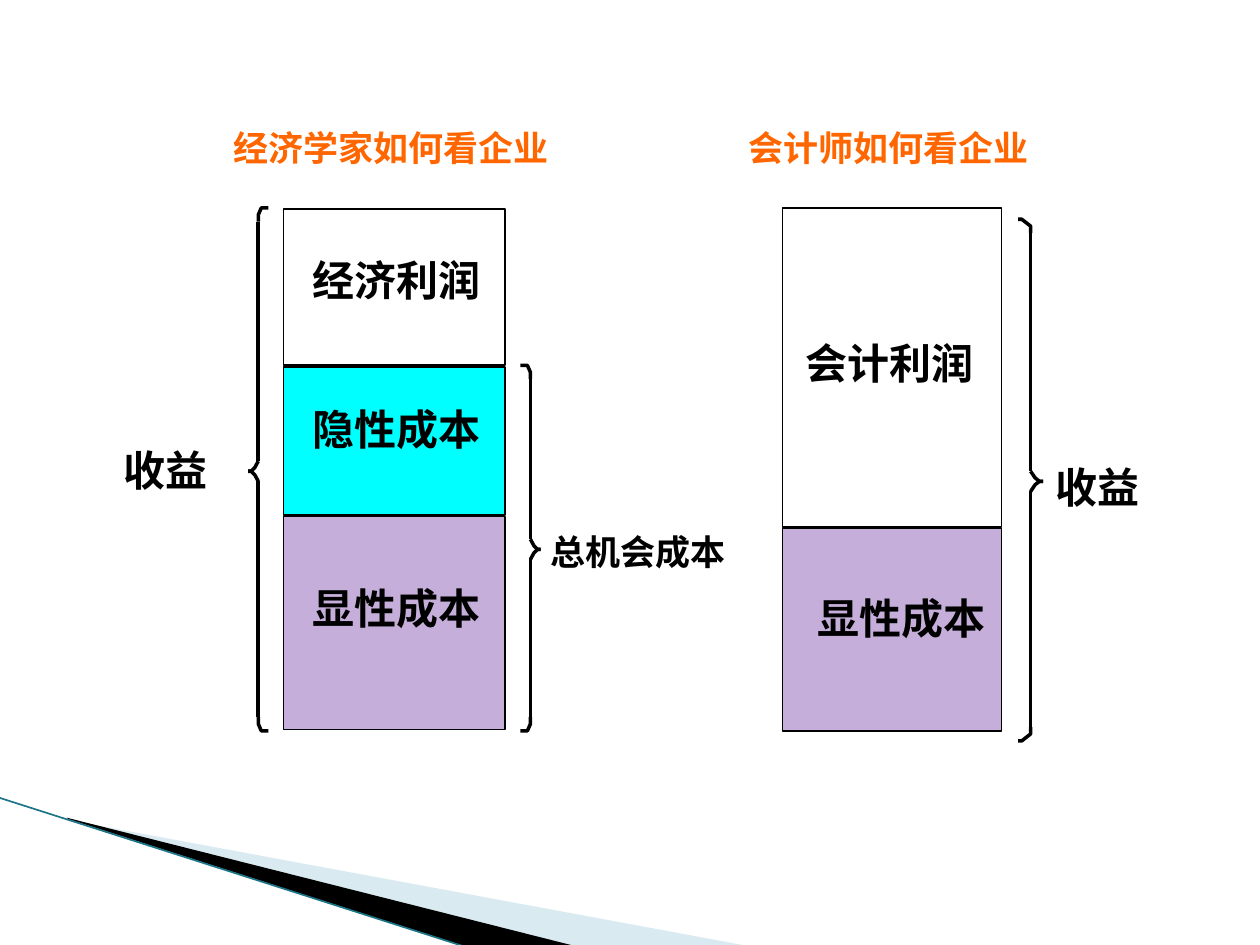
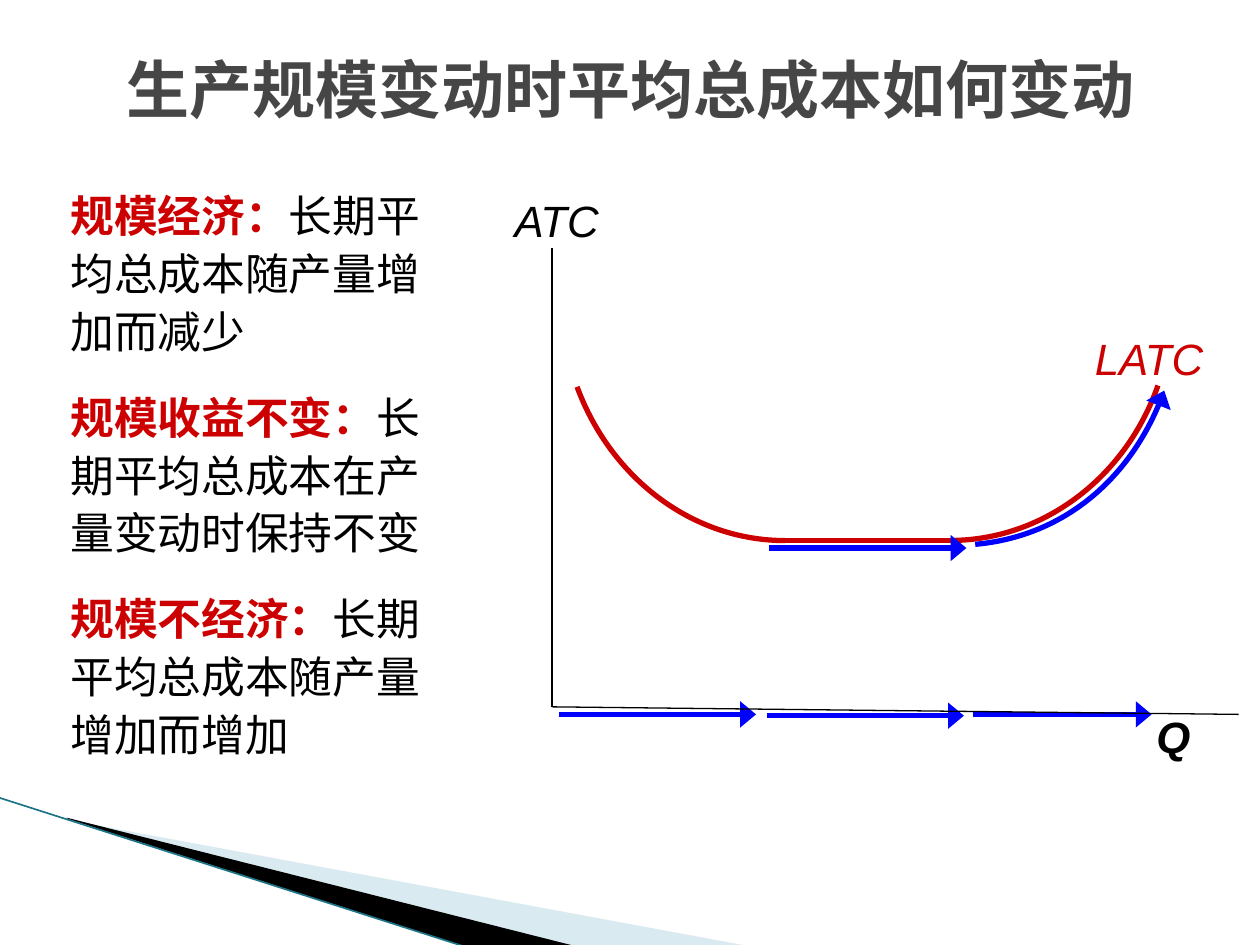
import pptx
import pptx.dml.color
import pptx.enum.shapes
import pptx.enum.text
import pptx.oxml
import pptx.oxml.ns
import pptx.util

THEME = {
    "colour": {"ink": "000000", "title": "464646", "heading": "FF6600", "key": "CC0000",
               "arrow": "0000FF", "profit": "FFFFFF", "implicit": "00FFFF",
               "explicit": "C5AED9", "pale band": "A0CBDC", "band edge": "1B7587"},
    "text": {
        "title": {"name": "Courier New", "size": 36, "bold": True},
        "heading": {"name": "Cabin", "size": 20, "bold": True},
        "label": {"name": "Cabin", "size": 24, "bold": True},
        "term": {"name": "Arial", "size": 25, "bold": True},
        "body": {"name": "Arial", "size": 25, "bold": False},
        "axis": {"name": "Arial", "size": 25, "italic": True},
        "quantity": {"name": "Arial", "size": 25, "bold": True, "italic": True},
    },
    "line": {"hair": 0.75, "bar": 1, "brace": 2, "curve": 3},
}

# Slide 1: each bar is stacked from its top; label offsets are from the part's corner
BAR_GAP = 0.01
BARS = [
    {"left": 2.25, "top": 1.66, "width": 1.76, "parts": [
        ("经济利润", "profit", 1.24, (0.23, 0.36)),
        ("隐性成本", "implicit", 1.18, (0.23, 0.29)),
        ("显性成本", "explicit", 1.69, (0.23, 0.52))]},
    {"left": 6.21, "top": 1.65, "width": 1.74, "parts": [
        ("会计利润", "profit", 2.53, (0.18, 1.03)),
        ("显性成本", "explicit", 1.61, (0.28, 0.51))]},
]
# spine, reach towards the tip, bend of the hooks, top, middle, bottom
BRACES = [(2.05, -0.08, 0.3, 1.65, 3.74, 5.8),
          (4.21, 0.08, 0.3, 2.9, 4.36, 5.8),
          (8.18, 0.1, 0.7, 1.74, 3.82, 5.88)]
# text, left, top, text style, colour
VIEW_LABELS = [
    ("经济学家如何看企业", 1.85, 1, "heading", "heading"),
    ("会计师如何看企业", 5.94, 1, "heading", "heading"),
    ("总机会成本", 4.37, 4.21, "heading", "ink"),
    ("收益", 0.98, 3.53, "label", "ink"),
    ("收益", 8.38, 3.66, "label", "ink"),
]

# Slide 2
SCALE_TITLE = "生产规模变动时平均总成本如何变动"
SCALE_EFFECTS = [
    ("规模经济：", "长期平均总成本随产量增加而减少"),
    ("规模收益不变：", "长期平均总成本在产量变动时保持不变"),
    ("规模不经济：", "长期平均总成本随产量增加而增加"),
]
# Each curve: start, two control points, end
FALLING = [(4.58, 3.07), (4.85, 3.8), (5.5, 4.29), (6.23, 4.29)]
RISING = [(9.19, 3.06), (8.93, 3.8), (8.27, 4.29), (7.54, 4.29)]
RISING_ARROW = [(9.24, 3.1), (9, 3.78), (8.42, 4.26), (7.74, 4.32)]
ORIGIN = (4.38, 5.61)
AXIS_ENDS = [(4.38, 1.97), (9.83, 5.67)]
# left, right, height on the slide
ARROWS = [(6.1, 7.67, 4.35), (4.44, 6, 5.67), (6.09, 7.65, 5.68), (7.72, 9.14, 5.67)]
# text, box, text style, colour, alignment
GRAPH_LABELS = [
    ("LATC", (8.59, 2.58, 1.41, 0.52), "axis", "key", "LEFT"),
    ("Q", (9.08, 5.58, 0.58, 0.52), "quantity", "ink", "LEFT"),
    ("ATC", (3.86, 1.49, 0.99, 0.52), "axis", "ink", "RIGHT"),
]

# Master: points of the corner wedges, back to front
WEDGES = [("pale band", 40, [(0.55, 6.51), (5.95, 7.51), (4.56, 7.51), (0.55, 6.5)]),
          ("ink", 100, [(0.53, 6.49), (4.57, 7.51), (3.72, 7.52), (0.54, 6.5)])]
WEDGE_EDGE = ((-0.01, 6.33), (3.71, 7.52))


def inches(values):
    return [pptx.util.Inches(value) for value in values]


def colour(name):
    return pptx.dml.color.RGBColor.from_string(THEME["colour"][name])


def add_xml(parent, tag, **attributes):
    child = pptx.oxml.parse_xml(f"<a:{tag} {pptx.oxml.ns.nsdecls('a')}/>")
    for name, value in attributes.items():
        child.set(name, str(value))
    parent.append(child)
    return child


def add_arrowhead(shape, end):
    add_xml(shape.line._get_or_add_ln(), end, type="triangle", w="lg", len="med")


def format_font(font, style, ink):
    for name, value in THEME["text"][style].items():
        setattr(font, name, pptx.util.Pt(value) if name == "size" else value)
    font.color.rgb = colour(ink)


def add_span(para, text, style, ink):
    span = para.add_run()
    span.text = text
    format_font(span.font, style, ink)


def format_line(shape, ink, weight):
    shape.line.color.rgb = colour(ink)
    shape.line.width = pptx.util.Pt(weight)


def add_label(slide, text, place, style, ink, align="LEFT", insets=(0, 0)):
    box = slide.shapes.add_textbox(*inches(place))
    frame = box.text_frame
    frame.word_wrap = True
    across, down = inches(insets)
    margins = {"left": across, "right": across, "top": down, "bottom": down}
    for side, margin in margins.items():
        setattr(frame, f"margin_{side}", margin)
    para = frame.paragraphs[0]
    para.alignment = getattr(pptx.enum.text.PP_ALIGN, align)
    add_span(para, text, style, ink)


def add_snug_label(slide, text, left, top, style, ink):
    """Size a label box to its full-width characters."""
    size = THEME["text"][style]["size"] / 72
    add_label(slide, text, (left, top, len(text) * size + 0.02, size * 1.2), style, ink)


def add_outline(slide, points, close=False):
    start, *rest = [inches(point) for point in points]
    builder = slide.shapes.build_freeform(*start, scale=1.0)
    builder.add_line_segments(rest, close=close)
    shape = builder.convert_to_shape()
    shape.shadow.inherit = False
    shape.fill.background()
    return shape


def add_curve(slide, points, ink):
    """Turn the three segments after the start into one cubic curve."""
    curve = add_outline(slide, points)
    segments = list(curve.element.spPr.iter(pptx.oxml.ns.qn("a:lnTo")))
    bend = add_xml(segments[0].getparent(), "cubicBezTo")
    for segment in segments:
        bend.append(segment[0])
        segment.getparent().remove(segment)
    format_line(curve, ink, THEME["line"]["curve"])
    return curve


def add_line(slide, start, end, ink, weight, arrow=False):
    line = slide.shapes.add_connector(
        pptx.enum.shapes.MSO_CONNECTOR.STRAIGHT, *inches(start + end))
    format_line(line, ink, weight)
    if arrow:
        add_arrowhead(line, "tailEnd")
    add_xml(line.element.spPr, "effectLst")
    return line


def add_brace(slide, spine, reach, bend, top, middle, bottom):
    """Draw a hook, a straight spine and half of the tip from each end."""
    shoulder, waist = 0.11, 0.08
    weight = THEME["line"]["brace"]
    for edge, sign in ((top, 1), (bottom, -1)):
        shoulder_end = (spine, edge + sign * shoulder)
        waist_end = (spine, middle - sign * waist)
        hook = [(spine - reach, edge), (spine - reach * bend, edge),
                (spine, edge + sign * shoulder / 2), shoulder_end]
        tip = [waist_end, (spine + reach * 0.35, middle - sign * waist * 0.35),
               (spine + reach * 0.7, middle), (spine + reach, middle)]
        for piece in (hook, tip):
            format_line(add_outline(slide, piece), "ink", weight)
        add_line(slide, shoulder_end, waist_end, "ink", weight)


def decorate_master(deck, slide):
    """Draw the corner wedges on a slide, then move them behind the master's placeholders."""
    bands = []
    for ink, opacity, points in WEDGES:
        band = add_outline(slide, points, close=True)
        band.fill.solid()
        band.fill.fore_color.rgb = colour(ink)
        band.line.fill.background()
        for fill in band.element.spPr.iter(pptx.oxml.ns.qn("a:srgbClr")):
            add_xml(fill, "alpha", val=opacity * 1000)
        bands.append(band)
    bands.append(add_line(slide, *WEDGE_EDGE, "band edge", 0.95))
    for index, band in enumerate(bands):
        band.element.xpath("./*/p:cNvPr")[0].set("id", str(100 + index))
        deck.slide_master.shapes.element.insert(2 + index, band.element)


def draw_bar(slide, bar):
    top = bar["top"]
    for text, ink, height, (shift, drop) in bar["parts"]:
        part = slide.shapes.add_shape(
            pptx.enum.shapes.MSO_SHAPE.RECTANGLE,
            *inches((bar["left"], top, bar["width"], height)))
        part.shadow.inherit = False
        part.fill.solid()
        part.fill.fore_color.rgb = colour(ink)
        format_line(part, "ink", THEME["line"]["bar"])
        add_snug_label(slide, text, bar["left"] + shift, top + drop, "label", "ink")
        top += height + BAR_GAP


def build_views(slide):
    for brace in BRACES:
        add_brace(slide, *brace)
    for bar in BARS:
        draw_bar(slide, bar)
    for label in VIEW_LABELS:
        add_snug_label(slide, *label)


def place(holder, box, anchor):
    for name, value in zip(("left", "top", "width", "height"), inches(box)):
        setattr(holder, name, value)
    frame = holder.text_frame
    frame.word_wrap = True
    frame.auto_size = pptx.enum.text.MSO_AUTO_SIZE.NONE
    frame.vertical_anchor = getattr(pptx.enum.text.MSO_ANCHOR, anchor)
    return frame


def write_scale_text(slide):
    title = place(slide.shapes.title, (0, 0.28, 10, 0.85), "MIDDLE").paragraphs[0]
    title.alignment = pptx.enum.text.PP_ALIGN.CENTER
    add_span(title, SCALE_TITLE, "title", "title")

    frame = place(slide.placeholders[1], (0.46, 1.41, 3.19, 5.44), "TOP")
    for index, (term, meaning) in enumerate(SCALE_EFFECTS):
        para = frame.add_paragraph() if index else frame.paragraphs[0]
        properties = para._p.get_or_add_pPr()
        for name in ("marL", "indent"):
            properties.set(name, "0")
        add_xml(properties, "buNone")
        para.line_spacing = 1.1
        para.space_before = pptx.util.Pt(16.25 if index else 0)
        add_span(para, term, "term", "key")
        add_span(para, meaning, "body", "ink")


def draw_cost_curve(slide):
    weight = THEME["line"]["curve"]
    for bend in (FALLING, RISING):
        add_curve(slide, bend, "key")
    add_line(slide, FALLING[-1], RISING[-1], "key", weight)
    add_arrowhead(add_curve(slide, RISING_ARROW, "arrow"), "headEnd")
    for left, right, height in ARROWS:
        add_line(slide, (left, height), (right, height), "arrow", weight, arrow=True)
    for end in AXIS_ENDS:
        add_line(slide, ORIGIN, end, "ink", THEME["line"]["hair"])
    for text, box, style, ink, align in GRAPH_LABELS:
        add_label(slide, text, box, style, ink, align, insets=(0.1, 0.05))


def main():
    deck = pptx.Presentation()
    deck.slide_width, deck.slide_height = inches((10, 7.5))
    views = deck.slides.add_slide(deck.slide_layouts[6])
    decorate_master(deck, views)
    build_views(views)
    scale = deck.slides.add_slide(deck.slide_layouts[1])
    write_scale_text(scale)
    draw_cost_curve(scale)
    deck.save("out.pptx")


if __name__ == "__main__":
    main()
